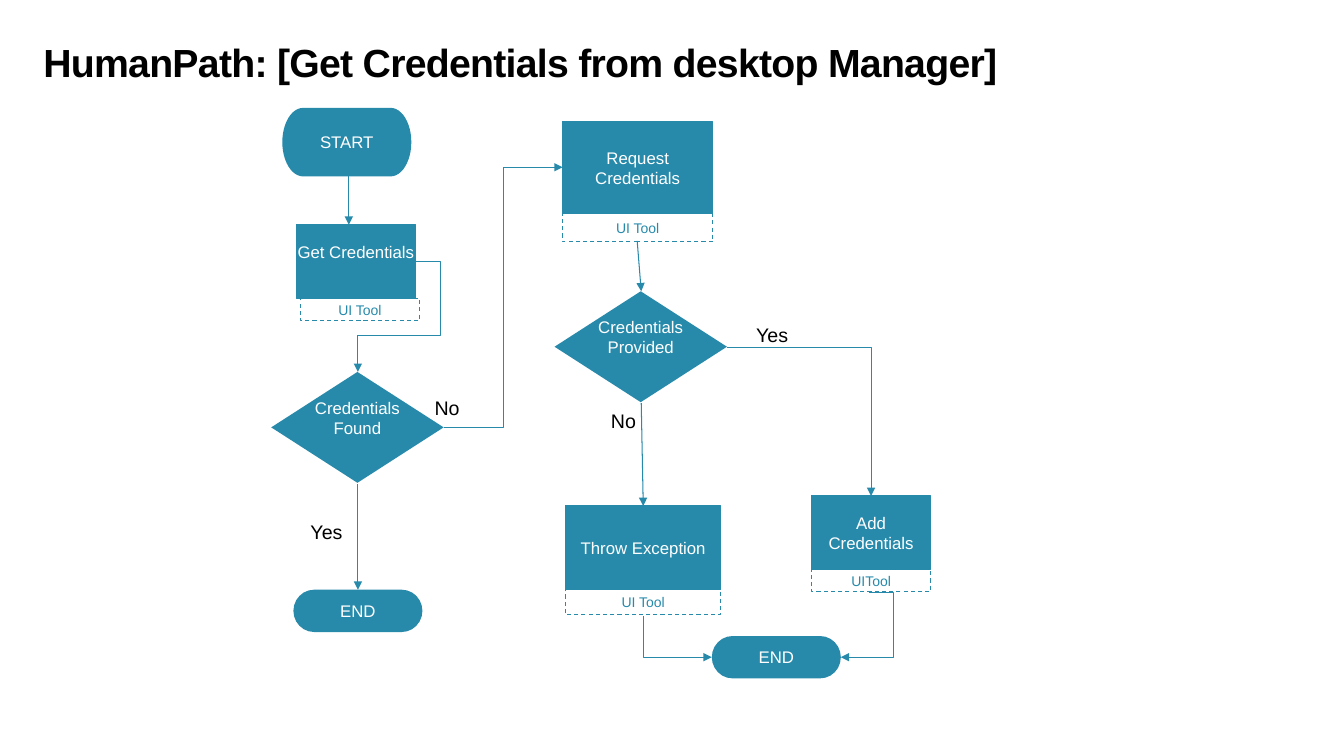
from lxml import etree
from pptx import Presentation
from pptx.dml.color import RGBColor
from pptx.enum import dml, shapes, text
from pptx.oxml import ns
from pptx.util import Inches, Pt

TEAL = RGBColor(0x27, 0x8A, 0xAB)
WHITE = RGBColor(255, 255, 255)
BLACK = RGBColor(0, 0, 0)
FONT = "Arial"
SHAPE = shapes.MSO_SHAPE

TITLE = "HumanPath: [Get Credentials from desktop Manager]"
TERMINATORS = [
    ("START", 2.8, 1.07, 0.68),
    ("END", 2.91, 5.85, 0.42),
    ("END", 7.06, 6.31, 0.42),
]
TERMINATOR_WIDTH = 1.28
DECISIONS = [("Credentials Found", 2.69, 3.69), ("Credentials Provided", 5.5, 2.89)]
DECISION_SIZE = (1.71, 1.1)
RAISED = 0.19
# step, left, top, width, height, bottom inset, tag, tag shift, tag height
STEPS = [
    ("Get Credentials", 2.94, 2.23, 1.18, 0.73, RAISED, "UI Tool", 0.04, 0.22),
    ("Request Credentials", 5.58, 1.21, 1.49, 0.91, 0, "UI Tool", 0, 0.28),
    ("Throw Exception", 5.61, 5.02, 1.54, 0.83, 0, "UI Tool", 0, 0.25),
    ("Add Credentials", 8.05, 4.92, 1.18, 0.73, 0, "UITool", 0, 0.22),
]
ANSWERS = [("Yes", 7.5, 3.2), ("No", 6.06, 4.06), ("Yes", 3.08, 5.16), ("No", 4.31, 3.93)]
STRAIGHT_ARROWS = [
    ((3.46, 1.72), (3.46, 2.23)),
    ((6.36, 4), (6.38, 5.02)),
    ((3.55, 4.8), (3.55, 5.85)),
    ((6.32, 2.39), (6.36, 2.89)),
]
# begin, end, preset, bends as shares of the span, arrowhead end
BENT_ARROWS = [
    ((4.12, 2.59), (3.55, 3.69), "bentConnector4", (-0.43, 0.67), "tailEnd"),
    ((4.4, 4.24), (5.58, 1.66), "bentConnector3", (0.5,), "tailEnd"),
    ((7.21, 3.45), (8.64, 4.92), "bentConnector2", (), "tailEnd"),
    ((8.62, 5.88), (8.34, 6.52), "bentConnector3", (-0.87,), "tailEnd"),
    ((7.06, 6.52), (6.38, 6.11), "bentConnector2", (), "headEnd"),
]


def write(frame, words, size, color, align, anchor, bottom=0):
    frame.text = words
    frame.word_wrap = True
    frame.auto_size = text.MSO_AUTO_SIZE.NONE
    frame.vertical_anchor = anchor
    frame.margin_left = frame.margin_right = frame.margin_top = 0
    frame.margin_bottom = Inches(bottom)
    paragraph = frame.paragraphs[0]
    paragraph.alignment = align
    font = paragraph.runs[0].font
    font.name, font.size, font.color.rgb = FONT, Pt(size), color
    return paragraph


def add_node(slide, kind, words, box, bottom=0, outlined=False, tag=False):
    node = slide.shapes.add_shape(kind, *map(Inches, box))
    node.shadow.inherit = False
    if tag:
        node.fill.background()
    else:
        node.fill.solid()
        node.fill.fore_color.rgb = TEAL
    if outlined or tag:
        node.line.color.rgb = TEAL
        node.line.width = Pt(0.75)
    else:
        node.line.fill.background()
    if tag:
        node.line.dash_style = dml.MSO_LINE.DASH
    write(node.text_frame, words, 10 if tag else 12, TEAL if tag else WHITE,
          text.PP_ALIGN.CENTER, text.MSO_ANCHOR.MIDDLE, bottom)


def add_arrow(slide, begin, end, preset=None, bends=(), head="tailEnd"):
    kind = shapes.MSO_CONNECTOR.ELBOW if preset else shapes.MSO_CONNECTOR.STRAIGHT
    arrow = slide.shapes.add_connector(kind, *map(Inches, begin + end))
    arrow.line.color.rgb = TEAL
    arrow.line.width = Pt(0.75)
    properties = arrow._element.spPr
    if preset:
        geometry = properties.find(ns.qn("a:prstGeom"))
        geometry.set("prst", preset)
        guides = geometry.find(ns.qn("a:avLst"))
        for number, bend in enumerate(bends, 1):
            etree.SubElement(guides, ns.qn("a:gd"), name=f"adj{number}",
                             fmla=f"val {round(bend * 100000)}")
    etree.SubElement(properties.find(ns.qn("a:ln")), ns.qn("a:" + head), type="triangle")
    etree.SubElement(properties, ns.qn("a:effectLst"))


def main():
    """Build the credentials flowchart slide."""
    deck = Presentation()
    deck.slide_width, deck.slide_height = Inches(13.33), Inches(7.5)
    slide = deck.slides.add_slide(deck.slide_layouts[5])

    title = slide.shapes.title
    title.left, title.top, title.width, title.height = map(Inches, (0.43, 0.45, 12.5, 1))
    heading = write(title.text_frame, TITLE, 28, BLACK, text.PP_ALIGN.LEFT, text.MSO_ANCHOR.TOP)
    heading.line_spacing = 0.85
    heading.runs[0].font.bold = True
    heading.runs[0].font._element.set("spc", "-50")

    for words, left, top, height in TERMINATORS:
        add_node(slide, SHAPE.FLOWCHART_TERMINATOR, words, (left, top, TERMINATOR_WIDTH, height))
    for words, left, top in DECISIONS:
        add_node(slide, SHAPE.DIAMOND, words, (left, top, *DECISION_SIZE), RAISED)
    for words, left, top, width, height, bottom, tag, shift, tag_height in STEPS:
        add_node(slide, SHAPE.RECTANGLE, words, (left, top, width, height), bottom, outlined=True)
        add_node(slide, SHAPE.RECTANGLE, tag, (left + shift, top + height, width, tag_height), tag=True)
    for route in STRAIGHT_ARROWS + BENT_ARROWS:
        add_arrow(slide, *route)
    for words, left, top in ANSWERS:
        answer = slide.shapes.add_textbox(*map(Inches, (left, top, 1, 0.37)))
        write(answer.text_frame, words, 14, BLACK, text.PP_ALIGN.LEFT, text.MSO_ANCHOR.TOP)

    deck.save("out.pptx")


if __name__ == "__main__":
    main()
